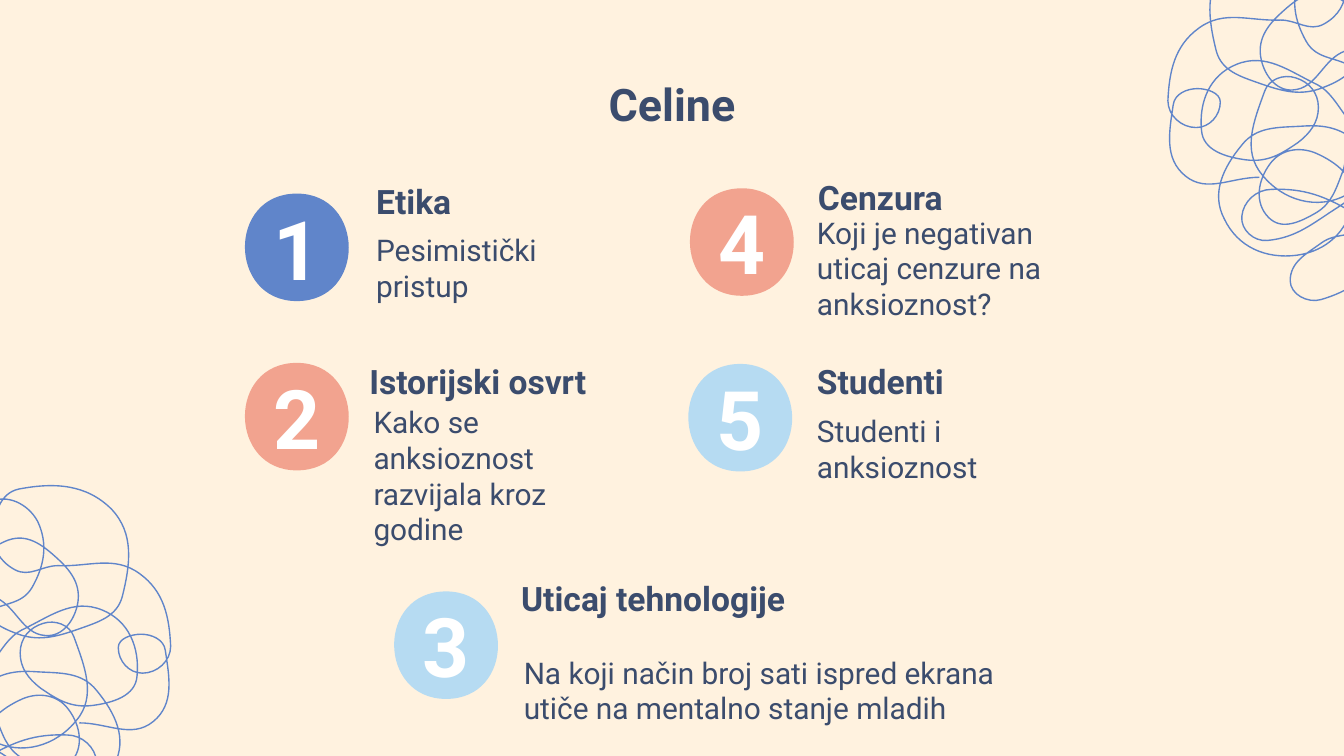
from dataclasses import dataclass
from math import dist, hypot

from lxml.etree import SubElement
from pptx import Presentation
from pptx.dml.color import RGBColor
from pptx.enum.text import MSO_ANCHOR, PP_ALIGN
from pptx.oxml.ns import qn
from pptx.util import Cm, Pt


@dataclass(frozen=True)
class Theme:
    font: str = "Roboto"
    background: str = "FFF2DF"
    ink: str = "3B4C6D"
    white: str = "FFFFFF"
    blue: str = "6085CA"
    coral: str = "F2A38F"
    sky: str = "B6DBF2"
    title_size: int = 24
    number_size: int = 44
    heading_size: int = 18
    body_size: int = 16
    line_width: float = 0.75


THEME = Theme()
CURVE_UNIT = Cm(2.54) / 100
BLOB_WIDTH, BLOB_HEIGHT = 2.64, 2.03
NUMBER_WIDTH, NUMBER_HEIGHT = 2.24, 1.55
HEADING_HEIGHT, BODY_HEIGHT = 0.76, 1.35

# A start point, then two control points and an end point per curve.
BLOB = [(52, 0), (0, 0), (1, 80), (52, 80), (104, 80), (103, 0), (52, 0)]
# Points that the scribble passes through.
SCRIBBLE = [
    (1097, 107), (1042, 117), (996, 154), (943, 179), (924, 161), (946, 141), (1006, 158),
    (1025, 188), (983, 223), (960, 209), (983, 181), (1019, 166), (1024, 129), (1005, 102),
    (968, 94), (924, 108), (911, 163), (965, 190), (1007, 150), (979, 114), (945, 122),
    (944, 162), (980, 158), (999, 128), (1005, 92), (1045, 60), (1112, 62), (1050, 85),
    (1033, 20), (1004, -32), (968, -18), (972, 31), (1008, 51), (1036, 78), (1002, 145),
    (939, 130), (941, 68), (964, 58), (981, 80), (966, 106), (927, 119), (894, 97),
    (920, 48), (980, 63), (1022, 96), (1046, 37), (1001, 38), (962, 67), (938, 42),
    (954, 9), (990, -4), (1015, 32), (985, 65), (937, 62), (905, 38), (913, -27),
    (982, -42), (1001, -10), (985, 18), (953, 15), (892, 21), (869, 75), (890, 95),
    (908, 76), (891, 66), (873, 78), (882, 131), (937, 132),
]


@dataclass(frozen=True)
class Topic:
    """One numbered topic; positions are (left, top) in centimetres."""
    number: str
    heading: str
    body: str
    color: str
    blob_at: tuple
    heading_at: tuple
    body_at: tuple
    heading_width: float = 5.92
    body_width: float = 5.38


TOPICS = [
    Topic("1", "Etika", "Pesimistički pristup", THEME.blue,
          (4.29, 3.66), (6.86, 3.43), (6.86, 4.39)),
    Topic("2", "Istorijski osvrt", "Kako se anksioznost razvijala kroz godine", THEME.coral,
          (4.29, 6.86), (6.73, 6.83), (6.81, 8.31)),
    Topic("3", "Uticaj tehnologije",
          "Na koji način broj sati ispred ekrana utiče na mentalno stanje mladih", THEME.sky,
          (7.11, 11.18), (9.6, 10.92), (9.65, 12.37), 8.13, 9.65),
    Topic("4", "Cenzura", "Koji je negativan uticaj cenzure na anksioznost?", THEME.coral,
          (12.7, 3.56), (15.21, 3.35), (15.19, 4.39)),
    Topic("5", "Studenti", "Studenti i anksioznost", THEME.sky,
          (12.67, 6.88), (15.19, 6.83), (15.19, 7.8)),
]


def smooth_curve(knots, tension=0.38):
    """Add control points so that the curve runs smoothly through the knots."""
    directions = []
    for before, after in zip(knots[:1] + knots[:-1], knots[1:] + knots[-1:]):
        run, rise = after[0] - before[0], after[1] - before[1]
        length = hypot(run, rise)
        directions.append((run / length, rise / length))
    points = [knots[0]]
    for index in range(len(knots) - 1):
        start, end = knots[index:index + 2]
        reach = tension * dist(start, end)
        for (x, y), (run, rise), step in ((start, directions[index], reach),
                                          (end, directions[index + 1], -reach)):
            points.append((round(x + run * step), round(y + rise * step)))
        points.append(end)
    return points


def add_curve(page, points, left=0, top=0, close=False, fill=None, line=None):
    """Draw cubic curves through points, given in curve units from (left, top) cm."""
    builder = page.shapes.build_freeform(*points[0], scale=CURVE_UNIT)
    builder.add_line_segments(points[1:], close=close)
    shape = builder.convert_to_shape(Cm(left), Cm(top))
    outline = next(shape._element.iter(qn("a:path")))
    segments = outline.findall(qn("a:lnTo"))
    for index in range(0, len(points) - 1, 3):
        curve = SubElement(outline, qn("a:cubicBezTo"))
        for segment in segments[index:index + 3]:
            curve.append(segment[0])
            outline.remove(segment)
    if close:
        outline.append(outline.find(qn("a:close")))
    shape.shadow.inherit = False
    if fill:
        shape.fill.solid()
        shape.fill.fore_color.rgb = RGBColor.from_string(fill)
    else:
        shape.fill.background()
    if line:
        shape.line.color.rgb = RGBColor.from_string(line)
        shape.line.width = Pt(THEME.line_width)
    else:
        shape.line.fill.background()


def add_text(page, text, left, top, width, height, *, size, color=THEME.ink,
             bold=False, align=PP_ALIGN.LEFT):
    box = page.shapes.add_textbox(Cm(left), Cm(top), Cm(width), Cm(height))
    frame = box.text_frame
    frame.word_wrap = True
    frame.vertical_anchor = MSO_ANCHOR.MIDDLE
    frame.margin_left = frame.margin_right = Cm(0.25)
    frame.margin_top = frame.margin_bottom = Cm(0.25)
    para = frame.paragraphs[0]
    para.alignment = align
    span = para.add_run()
    span.text = text
    span.font.name = THEME.font
    span.font.size = Pt(size)
    span.font.bold = bold
    span.font.color.rgb = RGBColor.from_string(color)


def add_topic(page, topic):
    left, top = topic.blob_at
    add_curve(page, BLOB, left, top, close=True, fill=topic.color)
    add_text(page, topic.number,
             left + (BLOB_WIDTH - NUMBER_WIDTH) / 2, top + (BLOB_HEIGHT - NUMBER_HEIGHT) / 2,
             NUMBER_WIDTH, NUMBER_HEIGHT, size=THEME.number_size, color=THEME.white,
             bold=True, align=PP_ALIGN.CENTER)
    add_text(page, topic.body, *topic.body_at, topic.body_width, BODY_HEIGHT,
             size=THEME.body_size)
    add_text(page, topic.heading, *topic.heading_at, topic.heading_width, HEADING_HEIGHT,
             size=THEME.heading_size, bold=True)


def add_scribbles(page):
    """Draw the scribble top right and its mirror image bottom left."""
    mirrored = [(996 - x, y + 406) for x, y in SCRIBBLE]
    for knots in (SCRIBBLE, mirrored):
        add_curve(page, smooth_curve(knots), line=THEME.blue)


def main():
    deck = Presentation()
    deck.slide_width, deck.slide_height = Cm(25.4), Cm(14.29)
    page = deck.slides.add_slide(deck.slide_layouts[6])
    page.background.fill.solid()
    page.background.fill.fore_color.rgb = RGBColor.from_string(THEME.background)
    add_text(page, "Celine", 1.98, 1.5, 21.44, 0.91, size=THEME.title_size,
             bold=True, align=PP_ALIGN.CENTER)
    for topic in TOPICS:
        add_topic(page, topic)
    add_scribbles(page)
    deck.save("out.pptx")


if __name__ == "__main__":
    main()
